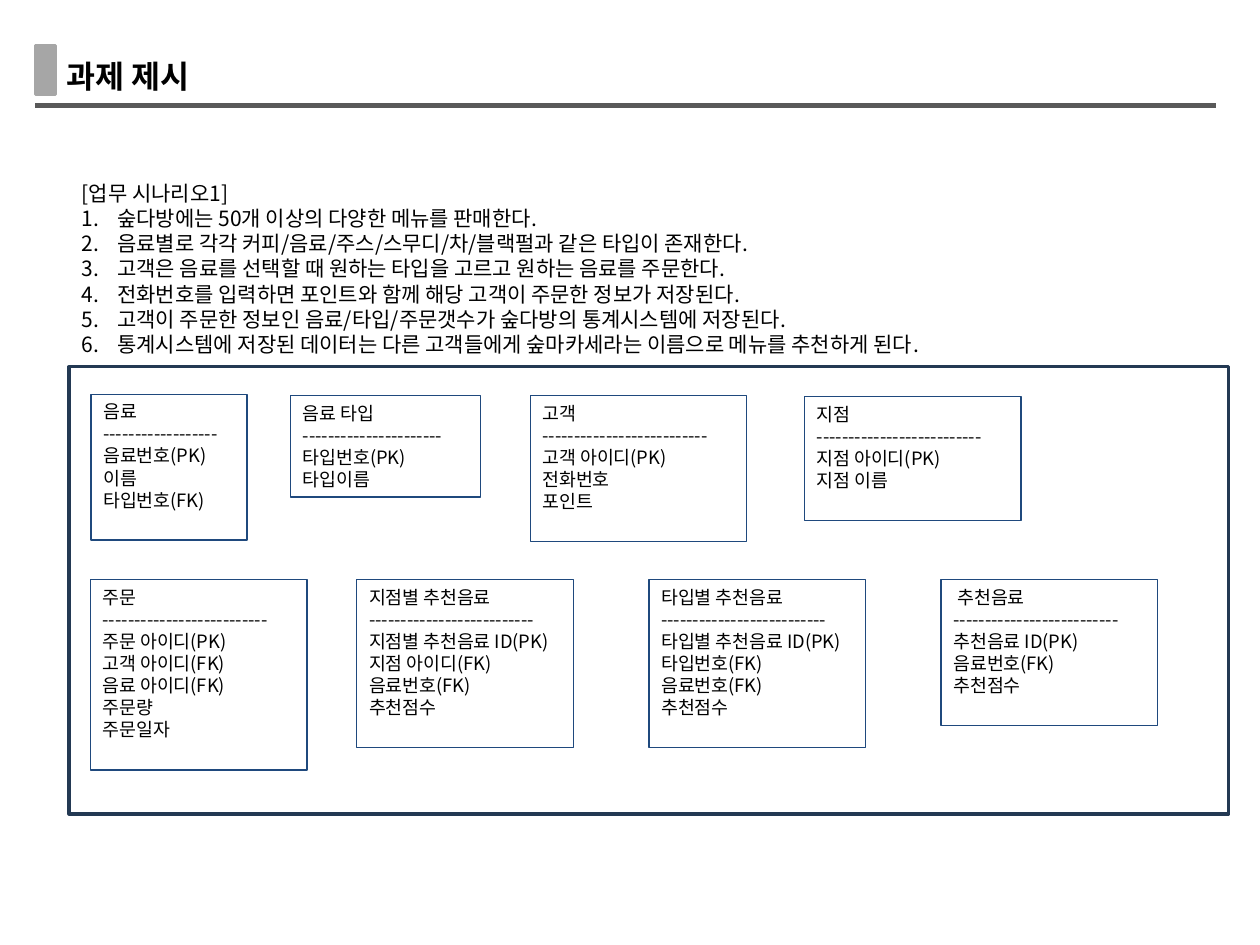
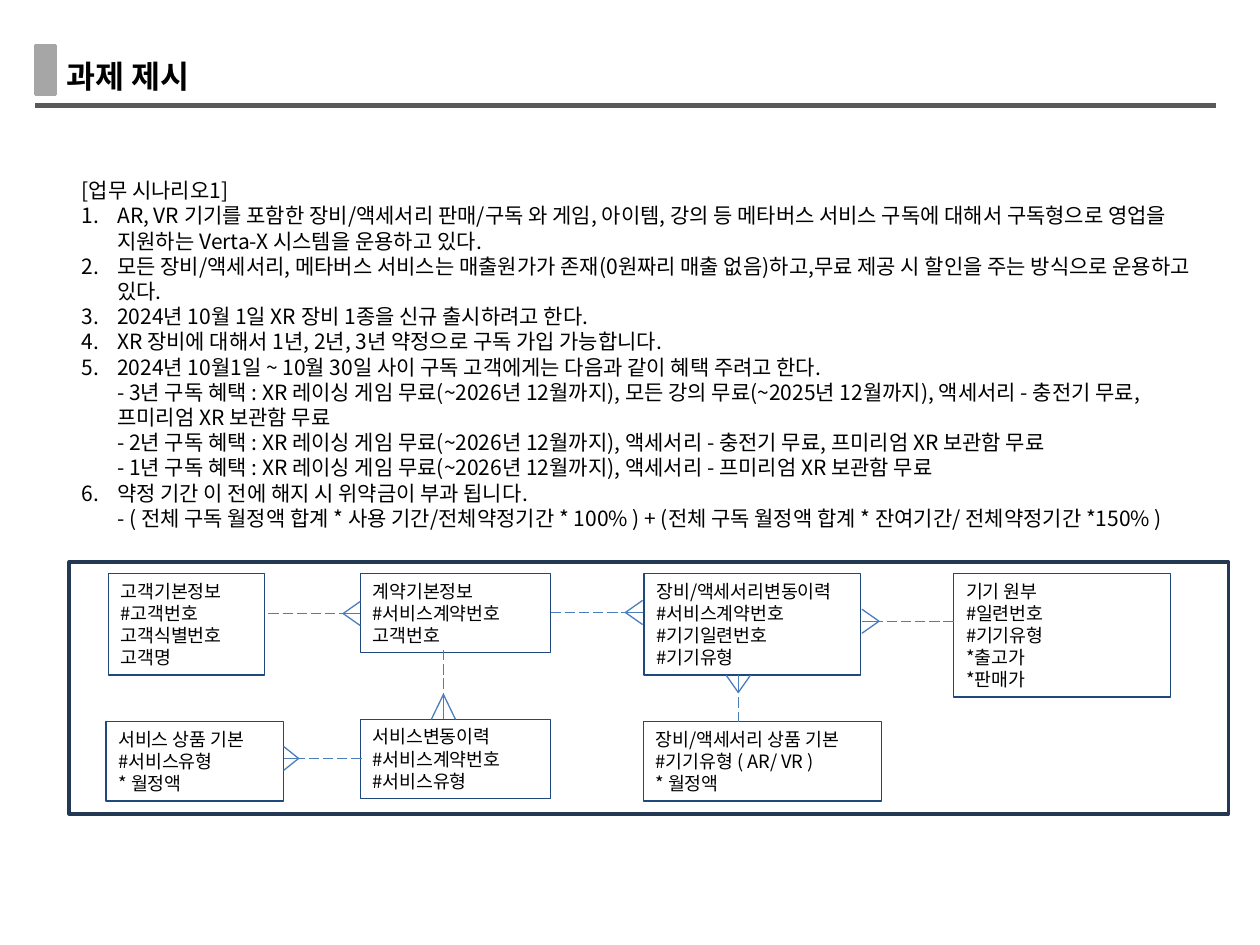
from lxml import etree
from math import hypot
from pptx import Presentation
from pptx.dml.color import RGBColor
from pptx.enum.dml import MSO_LINE
from pptx.enum.shapes import MSO_CONNECTOR, MSO_SHAPE
from pptx.enum.text import MSO_ANCHOR, MSO_AUTO_SIZE, PP_ALIGN
from pptx.oxml.ns import qn
from pptx.util import Pt

RECT, STRAIGHT = MSO_SHAPE.RECTANGLE, MSO_CONNECTOR.STRAIGHT
LONG_DASH = MSO_LINE.LONG_DASH
TOP, LEFT, NO_FIT = MSO_ANCHOR.TOP, PP_ALIGN.LEFT, MSO_AUTO_SIZE.NONE

FONT = "Noto Sans CJK KR"
BLACK, RULE, TAB = "000000", "595959", "A6A6A6"
FRAME, ENTITY, RELATION = "233953", "1F497D", "4B7EBC"
TITLE_SIZE, BODY_SIZE, ENTITY_SIZE = 18, 12, 10.5
LEADING = 1.2
LIST_INDENT = 20.25
ROW_H, PAD = 12.7, 7.2  # entity row height, top and bottom inset together


def rgb(value):
    return RGBColor.from_string(value)


# Text helpers
def prepare(tf, wrap=True):
    tf.word_wrap = wrap
    tf.auto_size = NO_FIT
    tf.vertical_anchor = TOP
    tf.margin_left = tf.margin_right = Pt(7.2)
    tf.margin_top = tf.margin_bottom = Pt(PAD / 2)


def add_run(p, text, size, bold):
    r = p.add_run()
    r.text = text
    r.font.size, r.font.bold, r.font.name = Pt(size), bold, FONT
    r.font.color.rgb = rgb(BLACK)
    ea = etree.SubElement(r.font._element, qn("a:ea"))
    ea.set("typeface", FONT)


def write(tf, paragraphs, size, bold=False):
    for i, text in enumerate(paragraphs):
        p = tf.paragraphs[0] if i == 0 else tf.add_paragraph()
        p.alignment = LEFT
        p.line_spacing = Pt(size * LEADING)
        p.space_before = p.space_after = Pt(0)
        for j, line in enumerate(text.split("\n")):
            if j:
                p.add_line_break()
            add_run(p, line, size, bold)


def set_bullet(p, numbered):
    pPr = p._p.get_or_add_pPr()
    indent = Pt(LIST_INDENT) if numbered else 0
    pPr.set("marL", str(indent))
    pPr.set("indent", str(-indent))
    if numbered:
        etree.SubElement(pPr, qn("a:buFont")).set("typeface", FONT)
        etree.SubElement(pPr, qn("a:buAutoNum")).set("type", "arabicPeriod")
    else:
        etree.SubElement(pPr, qn("a:buNone"))


# Shape helpers
def place(sp, x, y, w, h):
    sp.left, sp.top, sp.width, sp.height = Pt(x), Pt(y), Pt(w), Pt(h)


def add_rect(slide, x, y, w, h, line, width, fill=None):
    sp = slide.shapes.add_shape(RECT, Pt(x), Pt(y), Pt(w), Pt(h))
    sp.shadow.inherit = False
    sp.line.color.rgb, sp.line.width = rgb(line), Pt(width)
    if fill:
        sp.fill.solid()
        sp.fill.fore_color.rgb = rgb(fill)
    else:
        sp.fill.background()
    return sp


def add_line(slide, start, end, color, width, dash=None):
    ln = slide.shapes.add_connector(STRAIGHT, *map(Pt, start + end))
    ln.line.color.rgb, ln.line.width = rgb(color), Pt(width)
    if dash:
        ln.line.dash_style = dash
    etree.SubElement(ln._element.spPr, qn("a:effectLst"))


# Header shared by all slides
def add_header(slide, text, x=20.2, y=25.9):
    title = slide.shapes.title
    place(title, x + 10.8, y + 2.9, 93.6, 28.8)
    prepare(title.text_frame, wrap=False)
    write(title.text_frame, [text], TITLE_SIZE, bold=True)
    add_line(slide, (x, y + 34.6), (x + 674.6, y + 34.6), RULE, 3)
    add_rect(slide, x, y, 11.5, 28.1, TAB, 2, TAB)


# Scenario heading and numbered list
def add_scenario(slide, box, heading, items):
    body = slide.placeholders[1]
    place(body, *box)
    tf = body.text_frame
    prepare(tf)
    write(tf, [heading, *items], BODY_SIZE)
    for i, p in enumerate(tf.paragraphs):
        set_bullet(p, numbered=i > 0)


# Entity box, as tall as its rows
def add_entity(slide, x, y, w, rows, spare=0):
    h = PAD + ROW_H * (len(rows) + spare)
    sp = add_rect(slide, x, y, w, h, ENTITY, 0.75)
    prepare(sp.text_frame)
    write(sp.text_frame, rows, ENTITY_SIZE)


# Dashed relation ending in a crow's foot
def add_relation(slide, start, end, foot=8.4, half=6.9):
    (x1, y1), (x2, y2) = start, end
    length = hypot(x2 - x1, y2 - y1)
    ux, uy = (x2 - x1) / length, (y2 - y1) / length
    knee = (x2 - ux * foot, y2 - uy * foot)
    apex = (x2 - ux * foot * 1.17, y2 - uy * foot * 1.17)
    add_line(slide, start, knee, RELATION, 0.75, LONG_DASH)
    add_line(slide, knee, end, RELATION, 0.75)
    for side in (-half, half):
        toe = (x2 - uy * side, y2 + ux * side)
        add_line(slide, apex, toe, RELATION, 0.75)


# Framed diagram; entities and relations are offsets from the frame corner
def add_diagram(slide, box, entities, relations=()):
    left, top = box[:2]
    add_rect(slide, *box, FRAME, 2)
    for x, y, *rest in entities:
        add_entity(slide, left + x, top + y, *rest)
    for (x1, y1), (x2, y2), *foot in relations:
        add_relation(slide, (left + x1, top + y1), (left + x2, top + y2), *foot)


def with_rule(name, dashes, *fields):
    return [name, "-" * dashes, *fields]


def add_task_slide(prs, scenario_box, items, frame_box, entities, relations=()):
    slide = prs.slides.add_slide(prs.slide_layouts[1])
    add_header(slide, "과제 제시")
    add_scenario(slide, scenario_box, "[업무 시나리오1]", items)
    add_diagram(slide, frame_box, entities, relations)


CAFE_ITEMS = [
    "숲다방에는 50개 이상의 다양한 메뉴를 판매한다.",
    "음료별로 각각 커피/음료/주스/스무디/차/블랙펄과 같은 타입이 존재한다.",
    "고객은 음료를 선택할 때 원하는 타입을 고르고 원하는 음료를 주문한다.",
    "전화번호를 입력하면 포인트와 함께 해당 고객이 주문한 정보가 저장된다.",
    "고객이 주문한 정보인 음료/타입/주문갯수가 숲다방의 통계시스템에 저장된다.",
    "통계시스템에 저장된 데이터는 다른 고객들에게 숲마카세라는 이름으로 메뉴를 추천하게 된다.",
]
# x, y, width, rows, spare rows
CAFE_ENTITIES = [
    (12.4, 15.8, 89.3, with_rule("음료", 18, "음료번호(PK)", "이름", "타입번호(FK)"), 1),
    (126.4, 16.5, 108.7, with_rule("음료 타입", 22, "타입번호(PK)", "타입이름")),
    (263.4, 16.6, 123.8, with_rule("고객", 26, "고객 아이디(PK)", "전화번호", "포인트"), 1),
    (420, 17.2, 123.8, with_rule("지점", 26, "지점 아이디(PK)", "지점 이름"), 1),
    (12, 121.7, 123.8, with_rule("주문", 26, "주문 아이디(PK)", "고객 아이디(FK)",
                                 "음료 아이디(FK)", "주문량", "주문일자"), 1),
    (164.2, 121.7, 123.8, with_rule("지점별 추천음료", 26, "지점별 추천음료 ID(PK)",
                                    "지점 아이디(FK)", "음료번호(FK)", "추천점수"), 1),
    (331.2, 121.7, 123.8, with_rule("타입별 추천음료", 26, "타입별 추천음료 ID(PK)",
                                    "타입번호(FK)", "음료번호(FK)", "추천점수"), 1),
    (498.2, 121.7, 123.8, with_rule(" 추천음료", 26, "추천음료 ID(PK)",
                                    "음료번호(FK)", "추천점수"), 1),
]

XR_ITEMS = [
    "AR, VR 기기를 포함한 장비/액세서리 판매/구독 와 게임, 아이템, 강의 등 메타버스 서비스 "
    "구독에 대해서 구독형으로 영업을 지원하는 Verta-X 시스템을 운용하고 있다.",
    "모든 장비/액세서리, 메타버스 서비스는 매출원가가 존재(0원짜리 매출 없음)하고,"
    "무료 제공 시 할인을 주는 방식으로 운용하고 있다.",
    "2024년 10월 1일 XR 장비 1종을 신규 출시하려고 한다.",
    "XR 장비에 대해서 1년, 2년, 3년 약정으로 구독 가입 가능합니다.",
    "2024년 10월1일 ~ 10월 30일 사이 구독 고객에게는 다음과 같이 혜택 주려고 한다.\n"
    "- 3년 구독 혜택 : XR 레이싱 게임 무료(~2026년 12월까지), 모든 강의 무료(~2025년 12월까지), "
    "액세서리 - 충전기 무료, 프미리엄 XR 보관함 무료\n"
    "- 2년 구독 혜택 : XR 레이싱 게임 무료(~2026년 12월까지), "
    "액세서리 - 충전기 무료, 프미리엄 XR 보관함 무료\n"
    "- 1년 구독 혜택 : XR 레이싱 게임 무료(~2026년 12월까지), 액세서리 - 프미리엄 XR 보관함 무료",
    "약정 기간 이 전에 해지 시 위약금이 부과 됩니다.\n"
    "- ( 전체 구독 월정액 합계 * 사용 기간/전체약정기간 * 100% ) + "
    "(전체 구독 월정액 합계 * 잔여기간/ 전체약정기간 *150% )",
]
XR_ENTITIES = [
    (22.4, 6.6, 89.3, ["고객기본정보", "#고객번호", "고객식별번호", "고객명"]),
    (166.3, 6.6, 108.7, ["계약기본정보", "#서비스계약번호", "고객번호"]),
    (328.4, 6.6, 123.8, ["장비/액세서리변동이력", "#서비스계약번호", "#기기일련번호", "#기기유형"]),
    (505.4, 6.6, 123.8, ["기기 원부", "#일련번호", "#기기유형", "*출고가", "*판매가"]),
    (21, 91.4, 101.6, ["서비스 상품 기본", "#서비스유형", "* 월정액"]),
    (166.3, 90, 108.7, ["서비스변동이력", "#서비스계약번호", "#서비스유형"]),
    (328, 91.4, 136.3, ["장비/액세서리 상품 기본", "#기기유형 ( AR/ VR )", "* 월정액"]),
]
# from, to, foot length
XR_RELATIONS = [
    ((113.8, 29.5), (166.3, 29.5)),
    ((275, 28.9), (327.6, 28.9)),
    ((382.3, 91.4), (382.3, 64.8)),
    ((213.8, 50.4), (213.8, 90), 12.2),
    ((167, 112.3), (122.4, 112.3), 7.4),
    ((505.4, 33.9), (452.9, 33.9)),
]


def main():
    prs = Presentation()
    prs.slide_width, prs.slide_height = Pt(720), Pt(540)
    add_task_slide(prs, (39.6, 99.4, 656, 123.8), CAFE_ITEMS,
                   (39.6, 209.5, 662.4, 255.6), CAFE_ENTITIES)
    add_task_slide(prs, (39.6, 97.9, 656, 225.4), XR_ITEMS,
                   (39.6, 321.1, 662.4, 144), XR_ENTITIES, XR_RELATIONS)
    prs.save("out.pptx")


if __name__ == "__main__":
    main()
